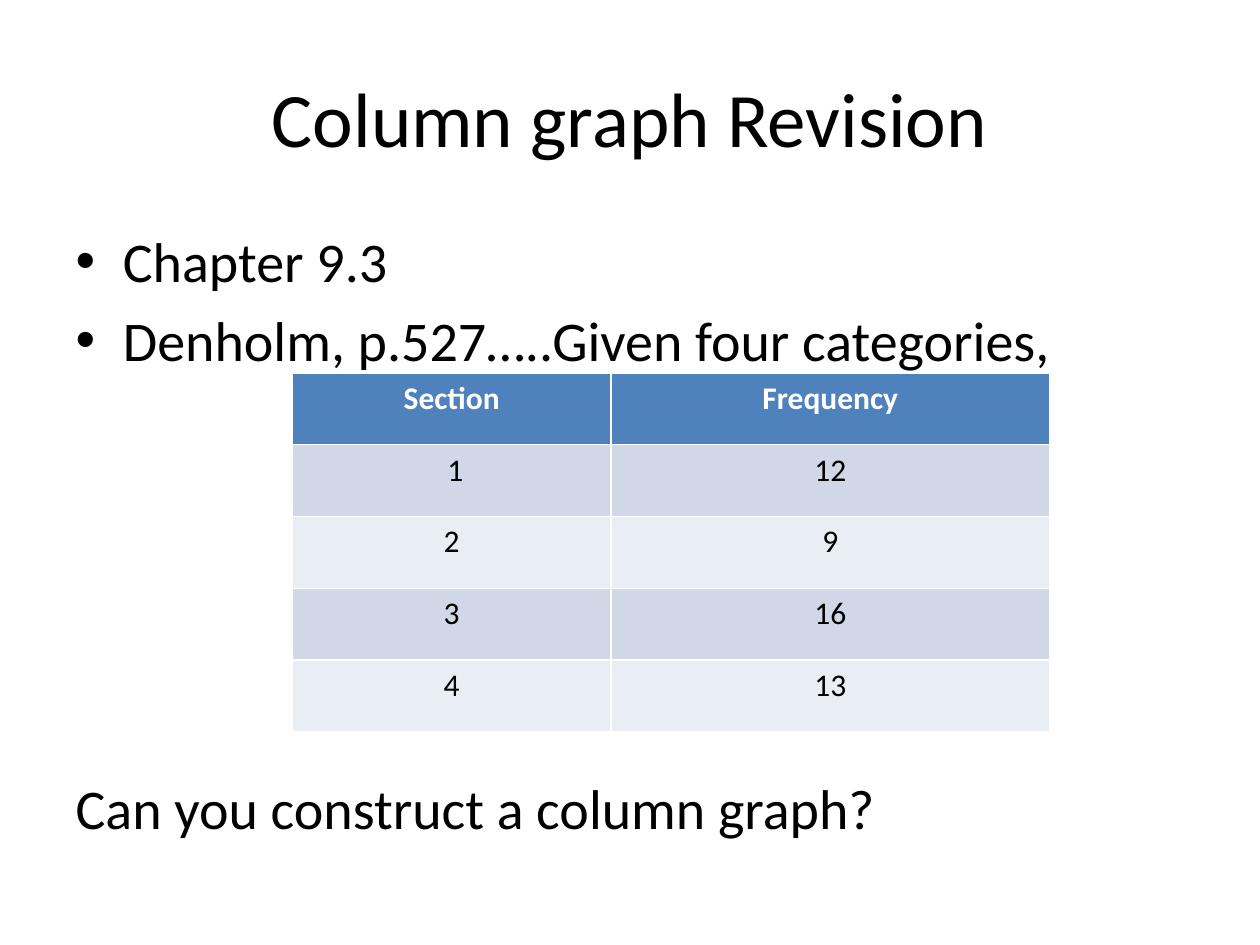
"""Build a revision slide with a frequency table for a column graph."""
from pptx import Presentation
from pptx import util as u
from pptx.dml.color import RGBColor
from pptx.enum import text
from lxml import etree

WHITE = RGBColor(0xFF, 0xFF, 0xFF)
BLACK = RGBColor(0, 0, 0)
HEADER = RGBColor(0x4F, 0x81, 0xBD)
BANDS = [RGBColor(0xE9, 0xED, 0xF4), RGBColor(0xD0, 0xD8, 0xE8)]
FONT = "Calibri"

TITLE = "Column graph Revision"
BULLETS = ["Chapter 9.3", "Denholm, p.527…..Given four categories,"]
QUESTION = "Can you construct a column graph?"
QUESTION_GAP = 229
ROWS = [("Section", "Frequency"), (" 1", "12"), ("2", "9"), ("3", "16"), ("4", "13")]
COLUMNS = [2.53, 3.48]
ROW_HEIGHT = 0.57
TABLE_LEFT, TABLE_TOP = 2.32, 2.96


def style(para, size, color=BLACK, bold=False):
    para.font.name = FONT
    para.font.size = u.Pt(size)
    para.font.color.rgb = color
    para.font.bold = bold


def place(box, left, top, width, height):
    box.left, box.top = u.Inches(left), u.Inches(top)
    box.width, box.height = u.Inches(width), u.Inches(height)


def add_title(page):
    box = page.shapes.title
    place(box, 0.5, 0.3, 9, 1.25)
    box.text_frame.text = TITLE
    style(box.text_frame.paragraphs[0], 44)


def add_body(page):
    box = page.placeholders[1]
    place(box, 0.5, 1.75, 9, 4.95)
    frame = box.text_frame
    frame.auto_size = text.MSO_AUTO_SIZE.NONE
    frame.text = "\n".join(BULLETS + [QUESTION])
    frame.paragraphs[0].space_before = u.Pt(0)
    question = frame.paragraphs[-1]
    question.space_before = u.Pt(QUESTION_GAP)
    properties = question._p.get_or_add_pPr()
    properties.set("marL", "0")
    properties.set("indent", "0")
    namespace = etree.QName(properties).namespace
    etree.SubElement(properties, f"{{{namespace}}}buNone")
    for para in frame.paragraphs:
        style(para, 32)


def add_frequencies(page):
    table = page.shapes.add_table(
        len(ROWS), len(COLUMNS), u.Inches(TABLE_LEFT), u.Inches(TABLE_TOP),
        u.Inches(sum(COLUMNS)), u.Inches(ROW_HEIGHT * len(ROWS))).table
    for column, width in zip(table.columns, COLUMNS):
        column.width = u.Inches(width)
    for r, values in enumerate(ROWS):
        table.rows[r].height = u.Inches(ROW_HEIGHT)
        for c, value in enumerate(values):
            cell = table.cell(r, c)
            cell.text = value
            cell.fill.solid()
            cell.fill.fore_color.rgb = BANDS[r % 2] if r else HEADER
            para = cell.text_frame.paragraphs[0]
            para.alignment = text.PP_ALIGN.CENTER
            style(para, 18, BLACK if r else WHITE, bold=r == 0)


def main():
    deck = Presentation()
    deck.slide_width, deck.slide_height = u.Inches(10), u.Inches(7.5)
    page = deck.slides.add_slide(deck.slide_layouts[1])
    add_title(page)
    add_body(page)
    add_frequencies(page)
    deck.save("out.pptx")


if __name__ == "__main__":
    main()
